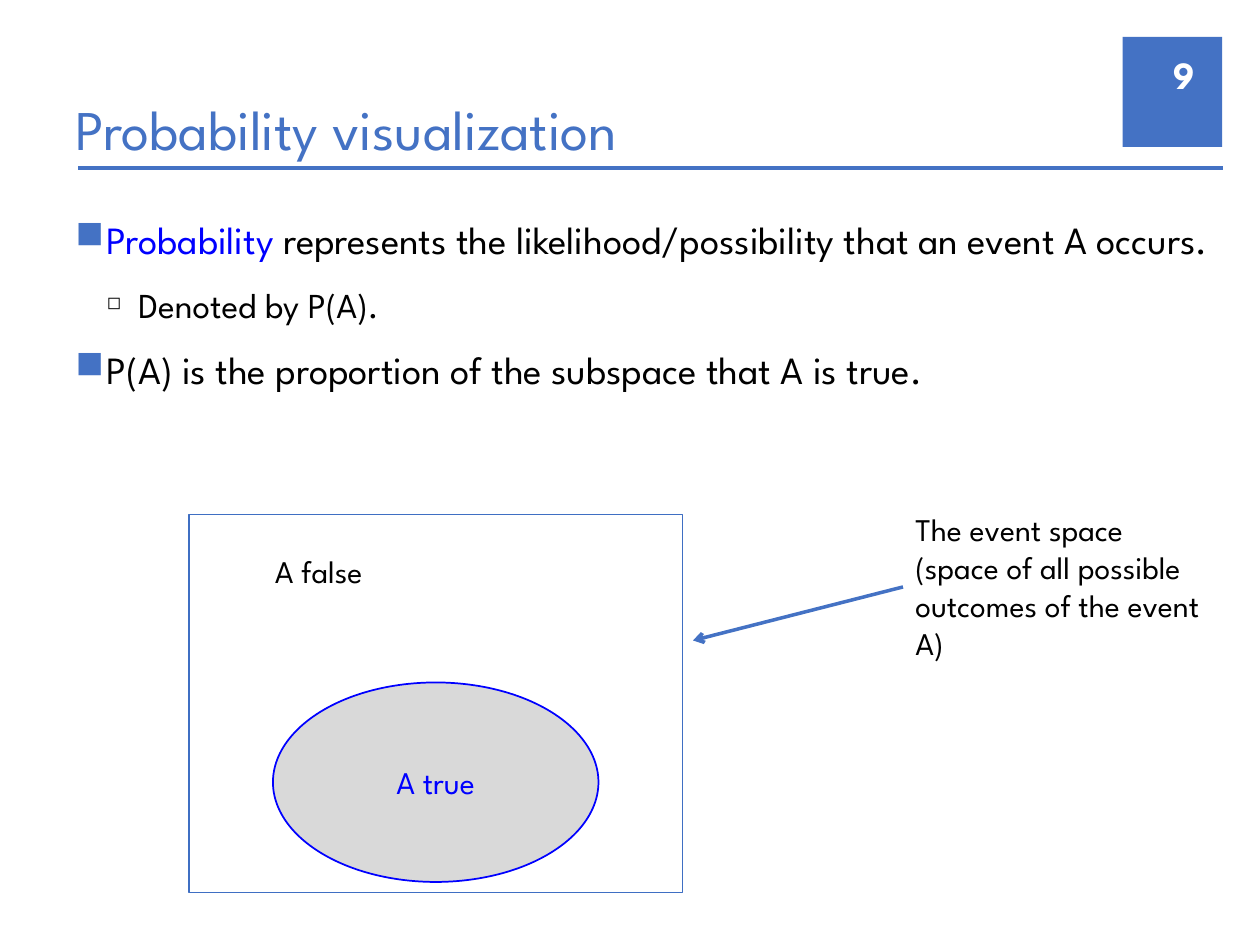
from lxml import etree
from pptx import Presentation
from pptx.dml.color import RGBColor
from pptx.enum.shapes import MSO_CONNECTOR, MSO_SHAPE
from pptx.enum.text import MSO_ANCHOR, PP_ALIGN
from pptx.oxml.ns import qn
from pptx.util import Inches, Pt

RECTANGLE, OVAL = MSO_SHAPE.RECTANGLE, MSO_SHAPE.OVAL
STRAIGHT = MSO_CONNECTOR.STRAIGHT
TOP, MIDDLE, BOTTOM = MSO_ANCHOR.TOP, MSO_ANCHOR.MIDDLE, MSO_ANCHOR.BOTTOM
LEFT, CENTER, RIGHT = PP_ALIGN.LEFT, PP_ALIGN.CENTER, PP_ALIGN.RIGHT
ACCENT, BLUE, BLACK, WHITE = "4472C4", "0000FF", "000000", "FFFFFF"
FONT = "League Spartan"
CELL = Inches(1 / 12)  # the slide is a grid of 120 columns by 90 rows


def color(value):
    return RGBColor.from_string(value)


def write(shape, paragraphs, size, text_color, anchor=TOP, align=LEFT):
    frame = shape.text_frame
    frame.word_wrap = True
    frame.vertical_anchor = anchor
    frame.text = "\n".join(paragraphs)
    for paragraph in frame.paragraphs:
        paragraph.alignment = align
        for run in paragraph.runs:
            run.font.name = FONT
            run.font.size = Pt(size)
            run.font.color.rgb = color(text_color)


presentation = Presentation()
presentation.slide_width, presentation.slide_height = 120 * CELL, 90 * CELL
slide = presentation.slides.add_slide(presentation.slide_layouts[6])
shapes = slide.shapes

# Filled and outlined shapes: kind, columns and rows, fill, line
panels = []
for kind, box, fill, line in [
    (RECTANGLE, (106.92, 3.5, 9.48, 10.5), ACCENT, None),
    (RECTANGLE, (18, 49, 47, 36), None, "3F6FC3"),
    (OVAL, (26, 65, 31, 19), "D9D9D9", BLUE),
]:
    panel = shapes.add_shape(kind, *[int(n * CELL) for n in box])
    panel.shadow.inherit = False
    if fill:
        panel.fill.solid()
        panel.fill.fore_color.rgb = color(fill)
    else:
        panel.fill.background()
    if line:
        panel.line.color.rgb = color(line)
        panel.line.width = Pt(1)
    else:
        panel.line.fill.background()
    panels.append(panel)
page_tab, event_space, event_true = panels
write(event_true, ["A true"], 18, BLUE, MIDDLE, CENTER)

# Text boxes: columns and rows, paragraphs, size, color, anchor, alignment
text_boxes = []
for box, *content in [
    ((6, 6, 111, 10), ["Probability visualization"], 32, ACCENT, BOTTOM, LEFT),
    ((108.4, 4.7, 6.6, 4.8), ["9"], 22, WHITE, MIDDLE, RIGHT),
    ((6, 20, 111, 60.4),
     ["Probability represents the likelihood/possibility that an event A occurs.",
      "Denoted by P(A).",
      "P(A) is the proportion of the subspace that A is true."], 22, BLACK, TOP, LEFT),
    ((25, 52, 26, 5), ["A false"], 18, BLACK, TOP, LEFT),
    ((86, 48, 32, 15.8),
     ["The event space", "(space of all possible outcomes of the event A)"],
     18, BLACK, TOP, LEFT),
]:
    text_box = shapes.add_textbox(*[int(n * CELL) for n in box])
    write(text_box, *content)
    text_boxes.append(text_box)
title, page_number, body, false_label, space_label = text_boxes
page_number.text_frame.paragraphs[0].runs[0].font.bold = True

# Bullets: level, symbol, color, size in percent, text size
bullets = [(0, "■", ACCENT, 100, 22), (1, "◻", BLACK, 50, 20), (0, "■", ACCENT, 100, 22)]
for paragraph, (level, symbol, bullet_color, percent, size) in zip(
        body.text_frame.paragraphs, bullets):
    paragraph.level = level
    paragraph.space_before = Pt(12)
    paragraph.runs[0].font.size = Pt(size)
    properties = paragraph._p.get_or_add_pPr()
    properties.set("marL", str(3 * (level + 1) * CELL))
    properties.set("indent", str(-3 * CELL))
    holder = etree.SubElement(properties, qn("a:buClr"))
    etree.SubElement(holder, qn("a:srgbClr"), val=bullet_color)
    etree.SubElement(properties, qn("a:buSzPct"), val=str(percent * 1000))
    etree.SubElement(properties, qn("a:buChar"), char=symbol)

# The key word of the first bullet is blue
opening = body.text_frame.paragraphs[0]
key_word = opening.runs[0]
first, rest = key_word.text.split(" ", 1)
key_word.text = first + " "
key_word.font.color.rgb = color(BLUE)
sentence = opening.add_run()
sentence.text = rest
sentence.font.name = FONT
sentence.font.size = Pt(22)
sentence.font.color.rgb = color(BLACK)

# Title rule and the arrow from the label to the event space
connectors = []
for ends in [(7.44, 16, 116.5, 16), (86, 55.9, 66, 61)]:
    connector = shapes.add_connector(STRAIGHT, *[int(n * CELL) for n in ends])
    connector.line.color.rgb = color(ACCENT)
    connector.line.width = Pt(2)
    etree.SubElement(connector._element.spPr, qn("a:effectLst"))
    connectors.append(connector)
title_rule, arrow = connectors
arrow.begin_connect(space_label, 1)
etree.SubElement(arrow.line._get_or_add_ln(), qn("a:tailEnd"), type="arrow")

presentation.save("out.pptx")
